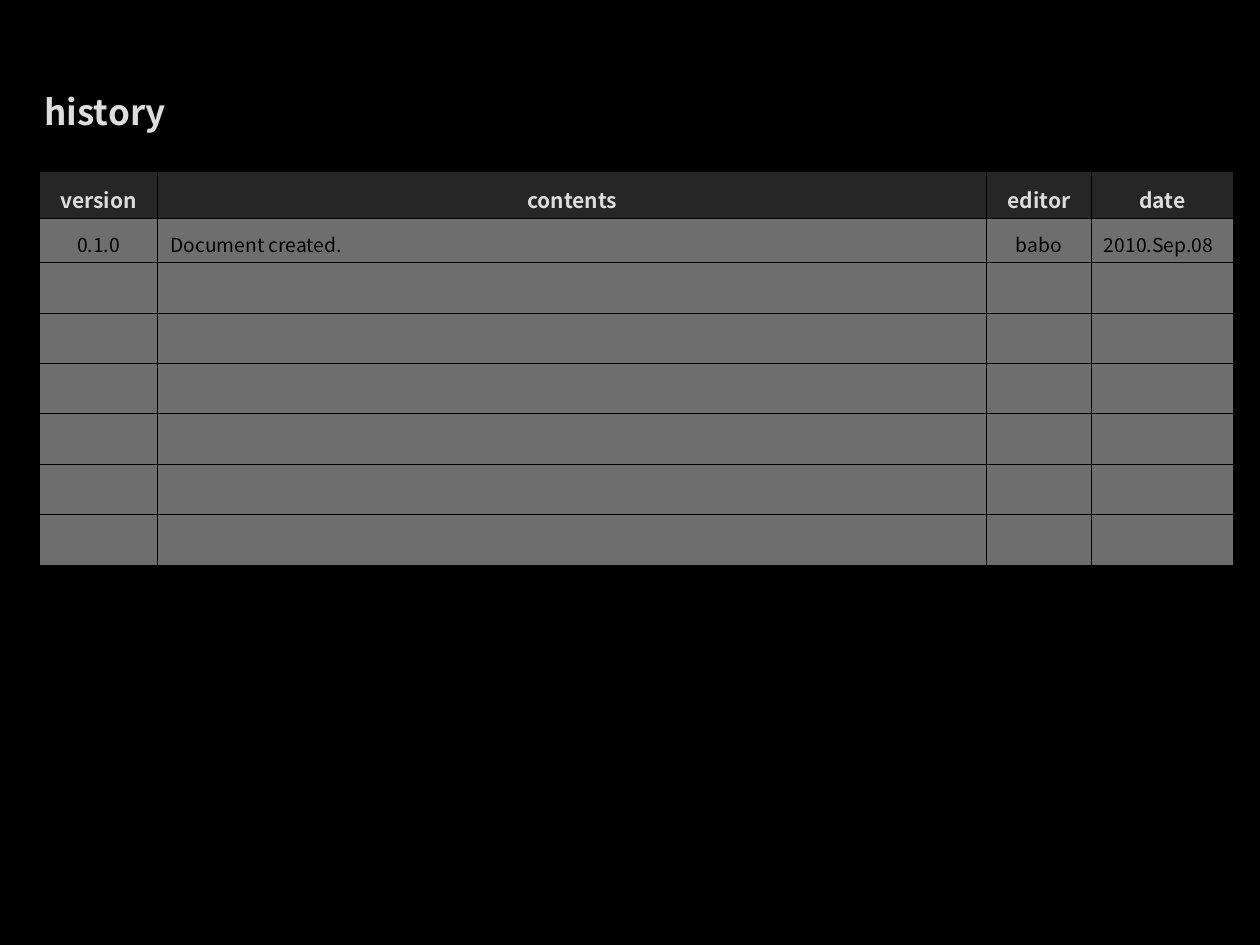
from lxml.etree import SubElement
from pptx import Presentation
from pptx.dml.color import RGBColor
from pptx.enum.text import MSO_ANCHOR, MSO_AUTO_SIZE, PP_ALIGN
from pptx.oxml import parse_xml
from pptx.oxml.ns import qn
from pptx.util import Cm, Pt

HUES = {"back": "000000", "pale": "DDDDDD", "dark": "4D4D4D", "ink": "000000"}
FACE = "Noto Sans CJK KR"
TITLE = "history"
HEADS = ["version", "contents", "editor", "date"]
ENTRY = ["0.1.0", "Document created.", "babo", "2010.Sep.08"]
BLANKS = 6
WIDTHS = [2.39, 16.71, 2.11, 2.87]
HEIGHTS = [0.94, 0.89] + [0.76] * BLANKS
CENTRE, LEFT = PP_ALIGN.CENTER, PP_ALIGN.LEFT
ROWS = [
    (HEADS, "dark", [CENTRE] * 4, {"size": Pt(12), "bold": True}, "pale"),
    (ENTRY, "pale", [CENTRE, LEFT, CENTRE, LEFT], {"size": Pt(11), "bold": False}, "ink"),
] + [([""] * 4, "pale", [LEFT] * 4, {}, "ink")] * BLANKS
LINE = (
    '<a:{} xmlns:a="http://schemas.openxmlformats.org/drawingml/2006/main" w="5715">'
    '<a:solidFill><a:srgbClr val="{}"/></a:solidFill></a:{}>'
)


def apply(item, form):
    """Set each named format value on the item."""
    for name, value in form.items():
        setattr(item, name, value)


def write(para, text, align, form, hue):
    """Put one styled run in the paragraph."""
    para.alignment = align
    run = para.add_run()
    run.text = text
    apply(run.font, {"name": FACE, **form})
    run.font.color.rgb = RGBColor.from_string(HUES[hue])


def paint(cell, hue):
    """Give the cell a half-clear fill and thin borders."""
    cell.fill.solid()
    cell.fill.fore_color.rgb = RGBColor.from_string(HUES[hue])
    props = cell._tc.get_or_add_tcPr()
    tone = props.find(qn("a:solidFill")).find(qn("a:srgbClr"))
    SubElement(tone, qn("a:alpha"), val="50000")
    for spot, side in enumerate(["lnL", "lnR", "lnT", "lnB"]):
        props.insert(spot, parse_xml(LINE.format(side, HUES["back"], side)))


def main():
    """Build the history slide."""
    deck = Presentation()
    apply(deck, {"slide_width": Cm(25.4), "slide_height": Cm(19.05)})
    slide = deck.slides.add_slide(deck.slide_layouts[5])
    slide.background.fill.solid()
    slide.background.fill.fore_color.rgb = RGBColor.from_string(HUES["back"])

    title = slide.shapes.title
    apply(title, {"left": Cm(0.64), "top": Cm(1.7), "width": Cm(14.88), "height": Cm(1.12)})
    apply(title.text_frame, {
        "word_wrap": True,
        "vertical_anchor": MSO_ANCHOR.TOP,
        "auto_size": MSO_AUTO_SIZE.SHAPE_TO_FIT_TEXT,
    })
    write(title.text_frame.paragraphs[0], TITLE, LEFT, {"size": Pt(20), "bold": True}, "pale")

    table = slide.shapes.add_table(
        len(ROWS), len(WIDTHS), Cm(0.79), Cm(3.46), Cm(sum(WIDTHS)), Cm(sum(HEIGHTS))
    ).table
    apply(table, {"first_row": False, "horz_banding": False})
    for col, width in zip(table.columns, WIDTHS):
        col.width = Cm(width)
    for row, height, (texts, fill, aligns, form, hue) in zip(table.rows, HEIGHTS, ROWS):
        row.height = Cm(height)
        for cell, text, align in zip(row.cells, texts, aligns):
            paint(cell, fill)
            if text:
                cell.vertical_anchor = MSO_ANCHOR.MIDDLE
                para = cell.text_frame.paragraphs[0]
                para.line_spacing = 1.2
                write(para, text, align, form, hue)
    deck.save("out.pptx")


if __name__ == "__main__":
    main()
